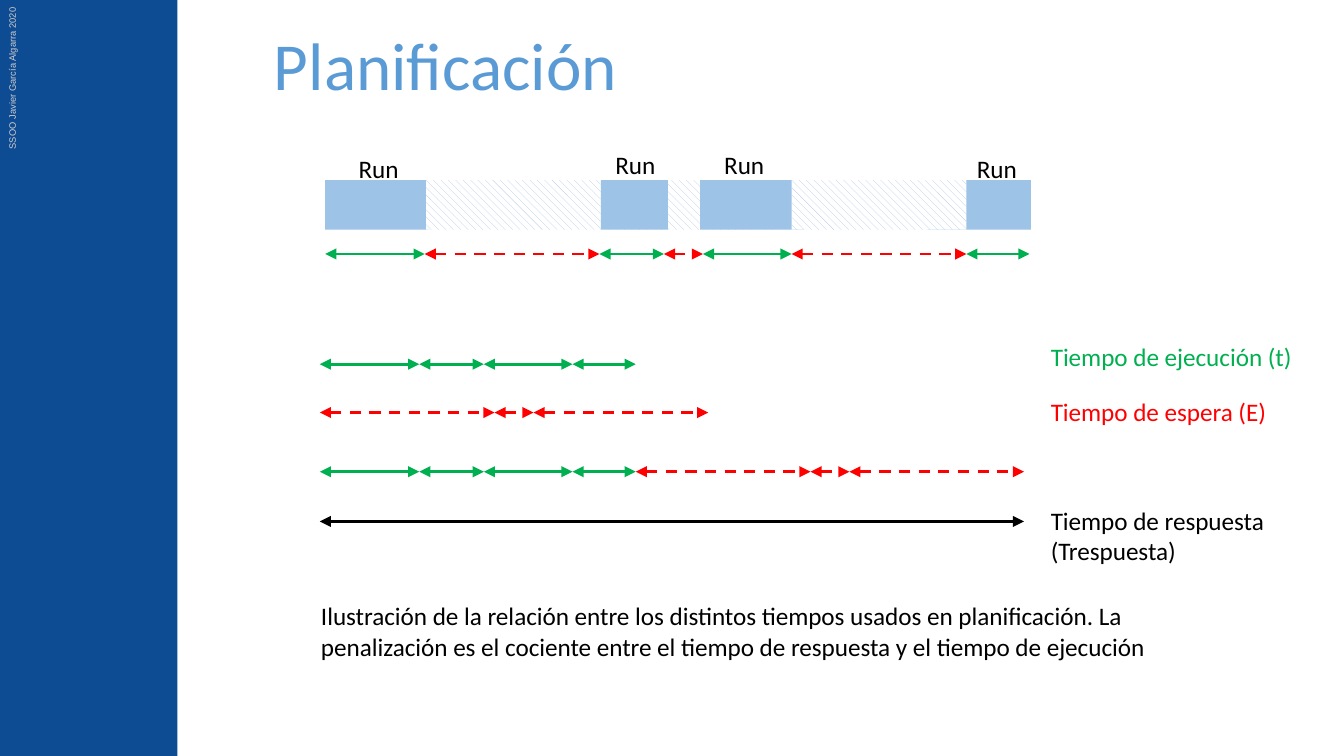
from dataclasses import dataclass
from itertools import chain, zip_longest

import pptx
import pptx.dml.color
import pptx.enum.dml
import pptx.enum.shapes
import pptx.enum.text
import pptx.oxml
import pptx.oxml.ns
import pptx.util
from pptx.util import Inches

COLORS = {
    "side": "0D4B92", "credit": "D0CECE", "title": "5B9BD5",
    "run": "9DC3E6", "hatch": "B4C7E7", "white": "FFFFFF",
    "execution": "00B050", "waiting": "FF0000", "black": "000000",
}
ANCHOR = pptx.enum.text.MSO_ANCHOR
SLIDE_WIDTH = 10
SLIDE_HEIGHT = SLIDE_WIDTH * 9 / 16


@dataclass
class Block:
    left: float
    width: float
    hatched: bool = False


@dataclass
class Span:
    width: float
    color: str
    dashed: bool = False


@dataclass
class Label:
    text: str
    left: float
    top: float
    width: float
    color: str = "black"


def rgb(name: str) -> pptx.dml.color.RGBColor:
    return pptx.dml.color.RGBColor.from_string(COLORS[name])


def add_rectangle(slide, left: float, top: float, width: float, height: float,
                  color: str, hatched: bool = False) -> None:
    shape = slide.shapes.add_shape(
        pptx.enum.shapes.MSO_SHAPE.RECTANGLE,
        Inches(left), Inches(top), Inches(width), Inches(height))
    shape.shadow.inherit = False
    shape.line.fill.background()
    if hatched:
        shape.fill.patterned()
        shape.fill.pattern = pptx.enum.dml.MSO_PATTERN.WIDE_DOWNWARD_DIAGONAL
        shape.fill.fore_color.rgb = rgb(color)
        shape.fill.back_color.rgb = rgb("white")
    else:
        shape.fill.solid()
        shape.fill.fore_color.rgb = rgb(color)


def add_text(slide, text: str, left: float, top: float, width: float, height: float, *,
             size: float = 13.5, color: str = "black", font: str = "Calibri",
             wrap: bool = False, anchor=ANCHOR.TOP, inset: float = 0.05,
             line_spacing: float = 1.0, rotation: float = 0) -> None:
    shape = slide.shapes.add_textbox(
        Inches(left), Inches(top), Inches(width), Inches(height))
    shape.rotation = rotation
    frame = shape.text_frame
    frame.word_wrap = wrap
    frame.vertical_anchor = anchor
    frame.margin_top = frame.margin_bottom = Inches(inset)
    frame.text = text
    for paragraph in frame.paragraphs:
        paragraph.line_spacing = line_spacing
        paragraph.font.size = pptx.util.Pt(size)
        paragraph.font.name = font
        paragraph.font.color.rgb = rgb(color)


def add_arrow(slide, left: float, y: float, span: Span) -> None:
    connector = slide.shapes.add_connector(
        pptx.enum.shapes.MSO_CONNECTOR.STRAIGHT,
        Inches(left), Inches(y), Inches(left + span.width), Inches(y))
    line = connector.line
    line.width = pptx.util.Pt(1.5)
    line.color.rgb = rgb(span.color)
    if span.dashed:
        line.dash_style = pptx.enum.dml.MSO_LINE.DASH
    properties = connector._element.spPr
    outline = properties.find(pptx.oxml.ns.qn("a:ln"))
    namespace = pptx.oxml.ns.nsdecls("a")
    for end in ("headEnd", "tailEnd"):
        outline.append(pptx.oxml.parse_xml(f'<a:{end} {namespace} type="triangle"/>'))
    properties.append(pptx.oxml.parse_xml(f"<a:effectLst {namespace}/>"))


def add_arrow_row(slide, left: float, y: float, spans: list[Span]) -> None:
    """Draw spans end to end."""
    for span in spans:
        add_arrow(slide, left, y, span)
        left += span.width


def main() -> None:
    presentation = pptx.Presentation()
    presentation.slide_width = Inches(SLIDE_WIDTH)
    presentation.slide_height = Inches(SLIDE_HEIGHT)
    slide = presentation.slides.add_slide(presentation.slide_layouts[6])

    # Side band and title
    add_rectangle(slide, 0, 0, 1.32, SLIDE_HEIGHT, "side")
    add_text(slide, "SSOO Javier García Algarra 2020", -0.66, 0.36, 1.51, 0.19,
             size=5, font="Arial", color="credit", wrap=True, rotation=270)
    add_text(slide, "Planificación", 1.94, 0.25, 7.71, 0.58, size=36, color="title",
             wrap=True, anchor=ANCHOR.BOTTOM, line_spacing=0.9)

    # Process bar: later blocks cover the ends of earlier ones
    blocks = [
        Block(4.5, 1.3, hatched=True),
        Block(2.42, 0.77), Block(4.47, 0.5), Block(5.21, 0.77), Block(6.9, 0.77),
        Block(3.17, 1.3, hatched=True), Block(5.89, 1.3, hatched=True),
    ]
    for block in blocks:
        color = "hatch" if block.hatched else "run"
        add_rectangle(slide, block.left, 1.34, block.width, 0.37, color, block.hatched)

    # Labels
    labels = [Label("Run", left, top, 0.5) for left, top in
              ((2.57, 1.09), (4.48, 1.06), (5.29, 1.06), (7.17, 1.09))]
    labels += [
        Label("Tiempo de ejecución (t)", 7.72, 2.49, 2.02, "execution"),
        Label("Tiempo de espera (E)", 7.72, 2.9, 1.87, "waiting"),
        Label("Tiempo de respuesta\n(Trespuesta)", 7.72, 3.71, 1.93),
    ]
    for label in labels:
        add_text(slide, label.text, label.left, label.top, label.width, 0.32,
                 color=label.color)

    # Time arrows: interleaved, then grouped by kind, then the total
    runs = [Span(width, "execution") for width in (0.74, 0.48, 0.66, 0.47)]
    waits = [Span(width, "waiting", dashed=True) for width in (1.3, 0.29, 1.3)]
    timeline = [span for span in chain.from_iterable(zip_longest(runs, waits)) if span]
    total = Span(sum(span.width for span in timeline), "black")
    add_arrow_row(slide, 2.42, 1.89, timeline)
    for y, spans in ((2.71, runs), (3.07, waits), (3.51, runs + waits), (3.88, [total])):
        add_arrow_row(slide, 2.38, y, spans)

    # Caption
    add_text(slide, "Ilustración de la relación entre los distintos tiempos usados en "
             "planificación. La penalización es el cociente entre el tiempo de respuesta "
             "y el tiempo de ejecución", 2.29, 4.42, 7.1, 0.55, wrap=True)

    presentation.save("out.pptx")


if __name__ == "__main__":
    main()
